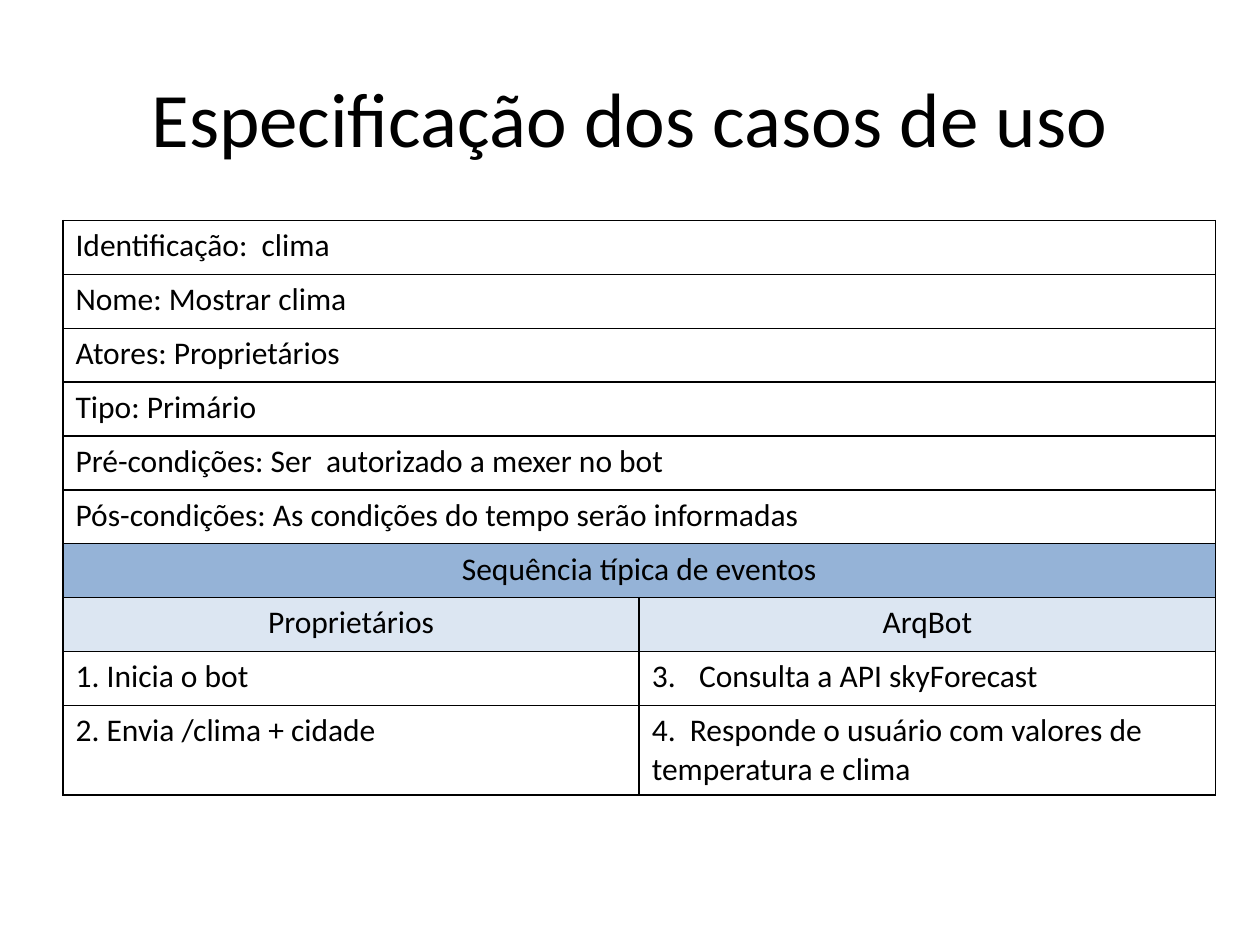
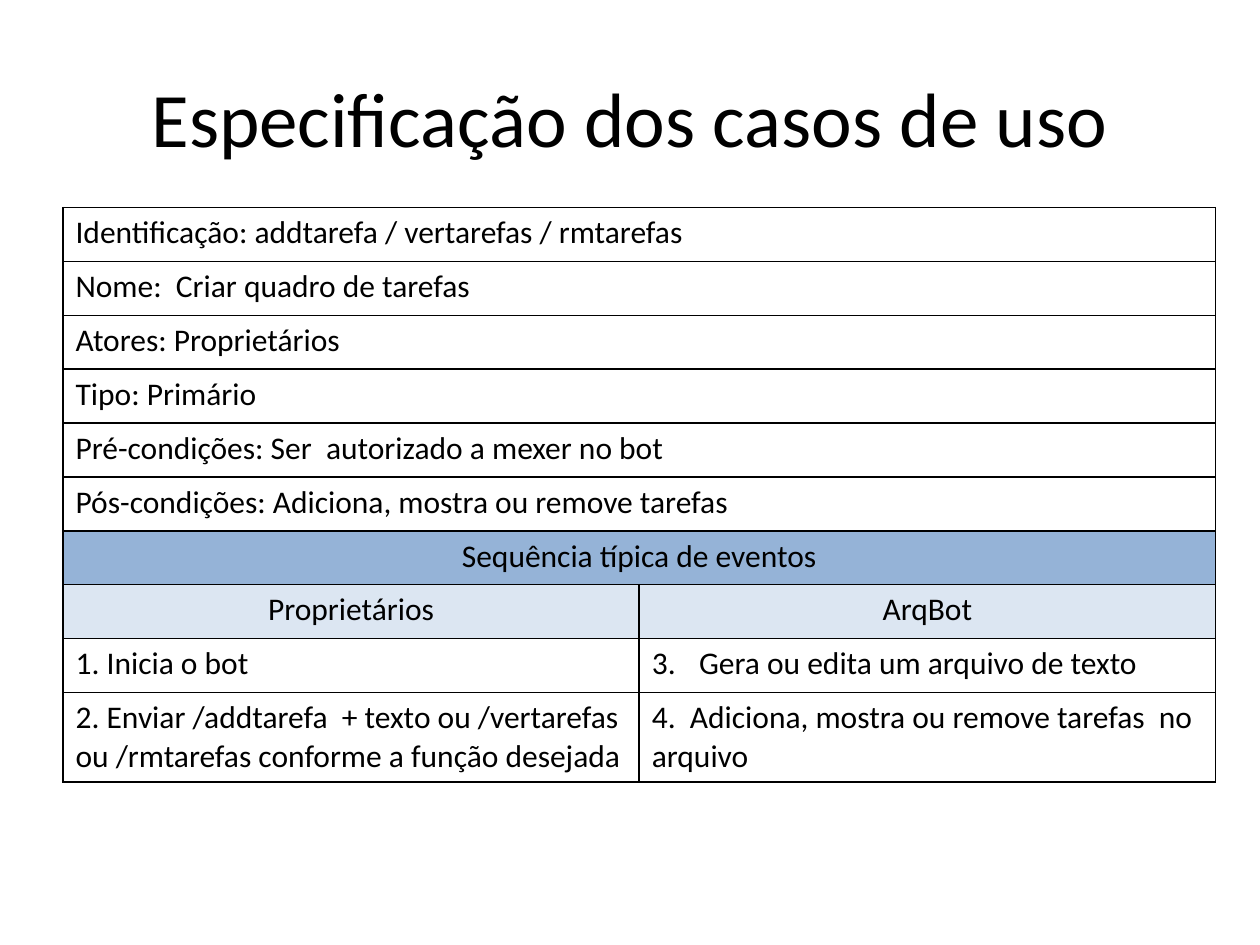
from dataclasses import dataclass
from typing import Optional

from lxml.etree import SubElement
from pptx import Presentation
from pptx.dml.color import RGBColor
from pptx.enum.text import MSO_ANCHOR, PP_ALIGN
from pptx.oxml import parse_xml
from pptx.oxml.ns import nsdecls, qn
from pptx.util import Pt

BLACK = RGBColor(0x00, 0x00, 0x00)
BAND_BLUE = RGBColor(0x95, 0xB3, 0xD7)
PALE_BLUE = RGBColor(0xDC, 0xE6, 0xF2)
FONT = "Calibri"
TITLE = "Especificação dos casos de uso"
LEFT = Pt(36)
COL_W = Pt(329.3)
ROW_H = Pt(30.8)
LAST_ROW_H = Pt(51.2)
HANGING = Pt(27)
BORDER = Pt(1)


@dataclass(frozen=True)
class CellText:
    """Text and look of one table cell."""
    text: str
    fill: Optional[RGBColor] = None
    number: Optional[int] = None


@dataclass(frozen=True)
class UseCase:
    """Contents of one use case and the top of its table."""
    top: Pt
    ident: str
    name: str
    post: str
    request: str
    action: str
    response: str

    def rows(self) -> list[list[CellText]]:
        """Return the table rows, with one cell where a row is merged."""
        fields = (
            f"Identificação: {self.ident}",
            f"Nome: {self.name}",
            "Atores: Proprietários",
            "Tipo: Primário",
            "Pré-condições: Ser  autorizado a mexer no bot",
            f"Pós-condições: {self.post}",
        )
        return [[CellText(field)] for field in fields] + [
            [CellText("Sequência típica de eventos", BAND_BLUE)],
            [CellText("Proprietários", PALE_BLUE), CellText("ArqBot", PALE_BLUE)],
            [CellText("1. Inicia o bot"), CellText(self.action, number=3)],
            [CellText(f"2. {self.request}"), CellText(f"4.  {self.response}")],
        ]


USE_CASES = (
    UseCase(
        top=Pt(126),
        ident=" clima",
        name="Mostrar clima",
        post="As condições do tempo serão informadas",
        request="Envia /clima + cidade",
        action="Consulta a API skyForecast",
        response="Responde o usuário com valores de temperatura e clima",
    ),
    UseCase(
        top=Pt(118.6),
        ident="addtarefa / vertarefas / rmtarefas",
        name=" Criar quadro de tarefas",
        post="Adiciona, mostra ou remove tarefas",
        request="Enviar /addtarefa  + texto ou /vertarefas  ou /rmtarefas "
                "conforme a função desejada",
        action="Gera ou edita um arquivo de texto",
        response="Adiciona, mostra ou remove tarefas  no arquivo",
    ),
)


def style_paragraph(p, size: Pt, align: PP_ALIGN) -> None:
    """Apply the shared font and the given size and alignment."""
    p.alignment = align
    p.font.name = FONT
    p.font.size = size
    p.font.color.rgb = BLACK


def add_borders(cell) -> None:
    """Draw a thin black line on all four sides of a cell."""
    tc_pr = cell._tc.get_or_add_tcPr()
    for side in ("L", "R", "T", "B"):
        ln = SubElement(tc_pr, qn(f"a:ln{side}"), w=str(BORDER))
        fill = SubElement(ln, qn("a:solidFill"))
        SubElement(fill, qn("a:srgbClr"), val=str(BLACK))


def number_paragraph(p, start: int) -> None:
    """Give a paragraph an automatic number and a hanging indent."""
    p_pr = p._p.get_or_add_pPr()
    p_pr.set("marL", str(HANGING))
    p_pr.set("indent", str(-HANGING))
    p_pr.insert(0, parse_xml(
        f'<a:buAutoNum {nsdecls("a")} type="arabicPeriod" startAt="{start}"/>'))


def fill_cell(cell, content: CellText) -> None:
    """Write and format one cell."""
    cell.text = content.text
    p = cell.text_frame.paragraphs[0]
    style_paragraph(p, Pt(18), PP_ALIGN.CENTER if content.fill else PP_ALIGN.LEFT)
    if content.number:
        number_paragraph(p, content.number)
    if content.fill:
        cell.fill.solid()
        cell.fill.fore_color.rgb = content.fill


def add_title(slide) -> None:
    """Fill and place the title placeholder."""
    sp = slide.shapes.title
    sp.left, sp.top, sp.width, sp.height = LEFT, Pt(21.6), Pt(648), Pt(90)
    tf = sp.text_frame
    tf.text = TITLE
    tf.vertical_anchor = MSO_ANCHOR.MIDDLE
    style_paragraph(tf.paragraphs[0], Pt(44), PP_ALIGN.CENTER)


def add_use_case_table(slide, case: UseCase) -> None:
    """Draw the table of one use case."""
    rows = case.rows()
    height = ROW_H * (len(rows) - 1) + LAST_ROW_H
    table = slide.shapes.add_table(
        len(rows), 2, LEFT, case.top, COL_W * 2, height).table
    table.first_row = table.horz_banding = False
    for col in table.columns:
        col.width = COL_W
    for row in table.rows:
        row.height = ROW_H
    table.rows[len(rows) - 1].height = LAST_ROW_H
    for cell in table.iter_cells():
        add_borders(cell)
        cell.fill.background()
    for i, contents in enumerate(rows):
        if len(contents) == 1:
            table.cell(i, 0).merge(table.cell(i, 1))
        for j, content in enumerate(contents):
            fill_cell(table.cell(i, j), content)


def main() -> None:
    """Build and save the presentation."""
    prs = Presentation()
    prs.slide_width, prs.slide_height = Pt(720), Pt(540)
    title_only = prs.slide_layouts[5]
    for case in USE_CASES:
        slide = prs.slides.add_slide(title_only)
        add_title(slide)
        add_use_case_table(slide, case)
    prs.save("out.pptx")


if __name__ == "__main__":
    main()
